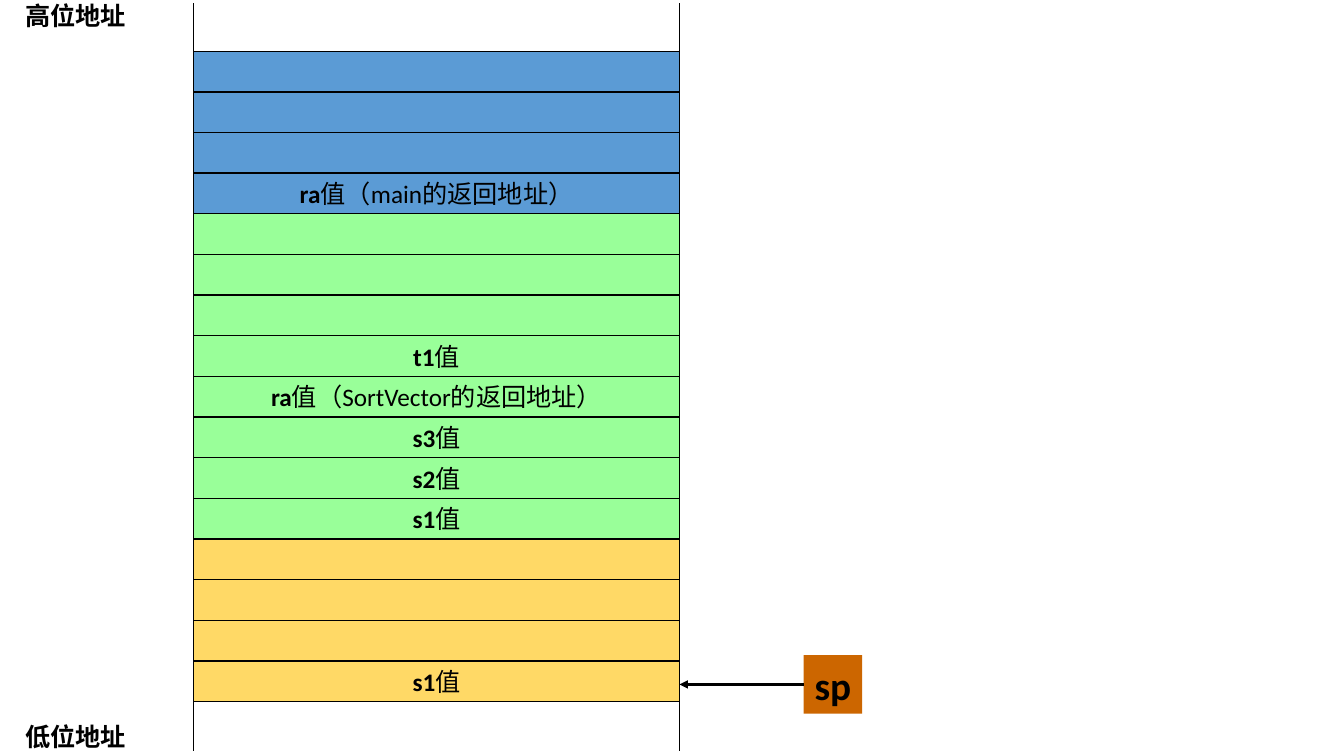
import dataclasses

import lxml.etree
import pptx
import pptx.dml.color
import pptx.enum.shapes
import pptx.enum.text
import pptx.oxml.ns
import pptx.util

Inches = pptx.util.Inches
Align = pptx.enum.text.PP_ALIGN
Anchor = pptx.enum.text.MSO_ANCHOR


@dataclasses.dataclass(frozen=True)
class Theme:
    font: str = "Calibri"
    ink: str = "000000"
    main_frame: str = "5B9BD5"
    sort_frame: str = "99FF99"
    swap_frame: str = "FFD966"
    pointer: str = "CC6600"
    body_size: int = 18
    pointer_size: int = 28
    border: float = 0.75
    rail: float = 0.5
    arrow: float = 2


class StackSlide:
    def __init__(self, slide, theme):
        self.slide = slide
        self.theme = theme

    def color(self, value):
        return pptx.dml.color.RGBColor.from_string(value)

    def fill_text(self, shape, parts, size, align, anchor, wrap=True):
        frame = shape.text_frame
        frame_format = {"word_wrap": wrap, "vertical_anchor": anchor}
        for name, value in frame_format.items():
            setattr(frame, name, value)
        paragraph = frame.paragraphs[0]
        paragraph.alignment = align
        for text, bold in parts:
            run = paragraph.add_run()
            run.text = text
            font_format = {"name": self.theme.font, "size": pptx.util.Pt(size), "bold": bold}
            for name, value in font_format.items():
                setattr(run.font, name, value)
            run.font.color.rgb = self.color(self.theme.ink)

    def box(self, left, top, width, height, fill, border=None):
        shape = self.slide.shapes.add_shape(
            pptx.enum.shapes.MSO_SHAPE.RECTANGLE,
            Inches(left), Inches(top), Inches(width), Inches(height))
        shape.shadow.inherit = False
        shape.fill.solid()
        shape.fill.fore_color.rgb = self.color(fill)
        if border:
            shape.line.color.rgb = self.color(self.theme.ink)
            shape.line.width = pptx.util.Pt(border)
        else:
            shape.line.fill.background()
        return shape

    def label(self, left, top, width, height, text):
        shape = self.slide.shapes.add_textbox(
            Inches(left), Inches(top), Inches(width), Inches(height))
        self.fill_text(shape, [(text, True)], self.theme.body_size, Align.LEFT, Anchor.TOP)

    def line(self, start, end, width, arrow=False):
        connector = self.slide.shapes.add_connector(
            pptx.enum.shapes.MSO_CONNECTOR.STRAIGHT,
            *[Inches(value) for value in (*start, *end)])
        connector.line.color.rgb = self.color(self.theme.ink)
        connector.line.width = pptx.util.Pt(width)
        properties = connector._element.spPr
        if arrow:
            outline = properties.find(pptx.oxml.ns.qn("a:ln"))
            lxml.etree.SubElement(outline, pptx.oxml.ns.qn("a:tailEnd"), type="triangle")
        lxml.etree.SubElement(properties, pptx.oxml.ns.qn("a:effectLst"))
        return connector


def main():
    presentation = pptx.Presentation()
    presentation.slide_width = Inches(13.33)
    presentation.slide_height = Inches(7.5)
    theme = Theme()
    stack = StackSlide(presentation.slides.add_slide(presentation.slide_layouts[6]), theme)

    left, width = 1.92, 4.82
    right = left + width
    first_top, last_top, row_height = 0.51, 6.56, 0.4
    frames = [
        (theme.main_frame, [None, None, None, ("ra", "值（main的返回地址）")]),
        (theme.sort_frame, [None, None, None, ("t1", "值"), ("ra", "值（SortVector的返回地址）"),
                            ("s3", "值"), ("s2", "值"), ("s1", "值")]),
        (theme.swap_frame, [None, None, None, ("s1", "值")]),
    ]
    rows = [(fill, words) for fill, cells in frames for words in cells]
    pitch = (last_top - first_top) / (len(rows) - 1)
    for index, (fill, words) in enumerate(rows):
        cell = stack.box(left, first_top + index * pitch, width, row_height, fill, theme.border)
        if words:
            register, meaning = words
            stack.fill_text(cell, [(register, True), (meaning, False)],
                            theme.body_size, Align.CENTER, Anchor.MIDDLE)

    for x in (left, right):
        stack.line((x, 7.45), (x, 0.03), theme.rail)

    pointer_left, pointer_top, pointer_size = 7.97, 6.5, 0.58
    pointer_middle = pointer_top + pointer_size / 2
    pointer = stack.box(pointer_left, pointer_top, pointer_size, pointer_size, theme.pointer)
    stack.fill_text(pointer, [("sp", True)], theme.pointer_size, Align.CENTER, Anchor.MIDDLE, wrap=False)
    arrow = stack.line((pointer_left, pointer_middle), (right, pointer_middle), theme.arrow, arrow=True)
    arrow.begin_connect(pointer, 1)

    for text, top in (("高位地址", -0.05), ("低位地址", 7.11)):
        stack.label(0.15, top, 1.75, 0.4, text)

    presentation.save("out.pptx")


if __name__ == "__main__":
    main()
